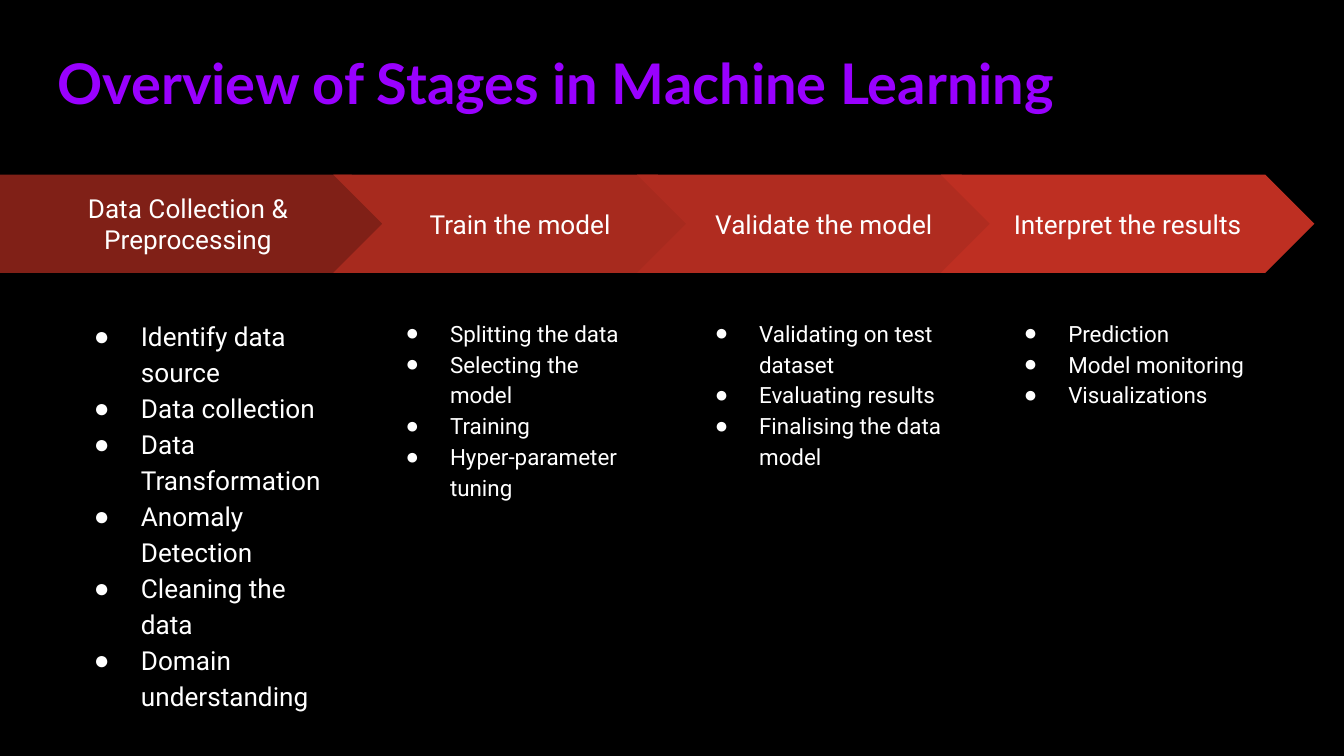
from lxml import etree
from pptx import Presentation
from pptx.dml.color import RGBColor
from pptx.enum import shapes, text
from pptx.oxml import ns
from pptx.util import Inches, Pt

WHITE = "FFFFFF"


def colour(value):
    return RGBColor.from_string(value)


class StageSlide:
    """Holds the style and the current slide."""

    title_font, body_font, bullet_font = "Lato", "Roboto", "Arial"
    title_colour, background = "9900FF", "000000"
    label_size, line_spacing, margin = 14, 1.15, 0.1

    def __init__(self, presentation):
        self.slide = presentation.slides.add_slide(presentation.slide_layouts[6])
        fill = self.slide.background.fill
        fill.solid()
        fill.fore_color.rgb = colour(self.background)

    def prepare_frame(self, shape, anchor):
        frame = shape.text_frame
        frame.word_wrap = True
        frame.auto_size = text.MSO_AUTO_SIZE.NONE
        frame.vertical_anchor = anchor
        frame.margin_left = frame.margin_right = Inches(self.margin)
        frame.margin_top = frame.margin_bottom = Inches(self.margin)
        return frame

    def add_run(self, paragraph, words, size, font, ink=WHITE, bold=False):
        run = paragraph.add_run()
        run.text = words
        run.font.size = Pt(size)
        run.font.name = font
        run.font.bold = bold
        run.font.color.rgb = colour(ink)

    def add_text_box(self, left, top, width, height):
        box = self.slide.shapes.add_textbox(
            Inches(left), Inches(top), Inches(width), Inches(height))
        return self.prepare_frame(box, text.MSO_ANCHOR.TOP)

    def add_title(self, words):
        frame = self.add_text_box(0.33, 0.26, 9.25, 0.77)
        self.add_run(frame.paragraphs[0], words, 30, self.title_font,
                     self.title_colour, bold=True)

    def add_arrow(self, kind, left, width, fill, words):
        shape = self.slide.shapes.add_shape(
            kind, Inches(left), Inches(1.3), Inches(width), Inches(0.73))
        shape.shadow.inherit = False
        shape.adjustments[0] = 0.5
        shape.fill.solid()
        shape.fill.fore_color.rgb = colour(fill)
        shape.line.fill.background()
        frame = self.prepare_frame(shape, text.MSO_ANCHOR.MIDDLE)
        paragraph = frame.paragraphs[0]
        paragraph.alignment = text.PP_ALIGN.CENTER
        self.add_run(paragraph, words, self.label_size, self.body_font)

    def add_bullets(self, left, items, size, hanging):
        frame = self.add_text_box(left, 2.25, 2.08, 2.86)
        for index, item in enumerate(items):
            paragraph = frame.add_paragraph() if index else frame.paragraphs[0]
            paragraph.line_spacing = self.line_spacing
            self.add_bullet_mark(paragraph, hanging)
            self.add_run(paragraph, item, size, self.body_font)

    def add_bullet_mark(self, paragraph, hanging):
        properties = paragraph._p.get_or_add_pPr()
        properties.set("marL", str(Inches(0.5)))
        properties.set("indent", str(-Inches(hanging)))
        bullet_colour = etree.SubElement(properties, ns.qn("a:buClr"))
        etree.SubElement(bullet_colour, ns.qn("a:srgbClr"), val=WHITE)
        etree.SubElement(properties, ns.qn("a:buFont"), typeface=self.bullet_font)
        etree.SubElement(properties, ns.qn("a:buChar"), char="●")


# Each stage: label, arrow fill, bullet items
STAGES = [
    ("Data Collection & Preprocessing", "802017",
     ["Identify data source", "Data collection", "Data Transformation",
      "Anomaly Detection", "Cleaning the data", "Domain understanding"]),
    ("Train the model", "A72A1E",
     ["Splitting the data", "Selecting the model", "Training",
      "Hyper-parameter tuning"]),
    ("Validate the model", "B02C20",
     ["Validating on test dataset", "Evaluating results",
      "Finalising the data model"]),
    ("Interpret the results", "BE2F22",
     ["Prediction", "Model monitoring", "Visualizations"]),
]


def main():
    # Widescreen slide, 16:9
    presentation = Presentation()
    presentation.slide_width = Inches(10)
    presentation.slide_height = Inches(10) * 9 // 16
    page = StageSlide(presentation)

    page.add_title("Overview of Stages in Machine Learning")

    # Stages: the first is wider, with larger bullets
    for index, (label, fill, items) in enumerate(STAGES):
        if index == 0:
            kind, left, width = shapes.MSO_SHAPE.PENTAGON, 0, 2.98
            size, hanging = 14, 0.35
        else:
            kind, left, width = shapes.MSO_SHAPE.CHEVRON, 0.22 + 2.26 * index, 2.78
            size, hanging = 12, 0.33
        page.add_arrow(kind, left, width, fill, label)
        page.add_bullets(0.45 + 2.3 * index, items, size, hanging)

    presentation.save("out.pptx")


if __name__ == "__main__":
    main()
